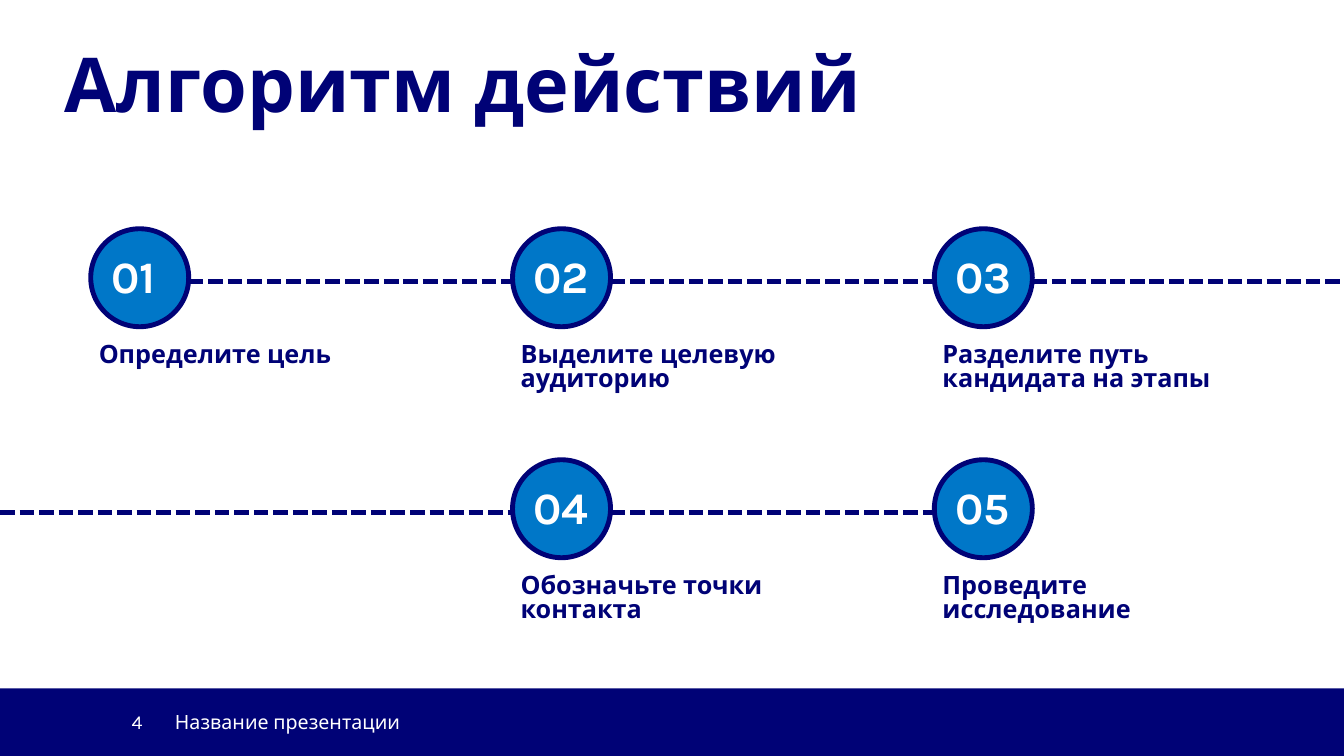
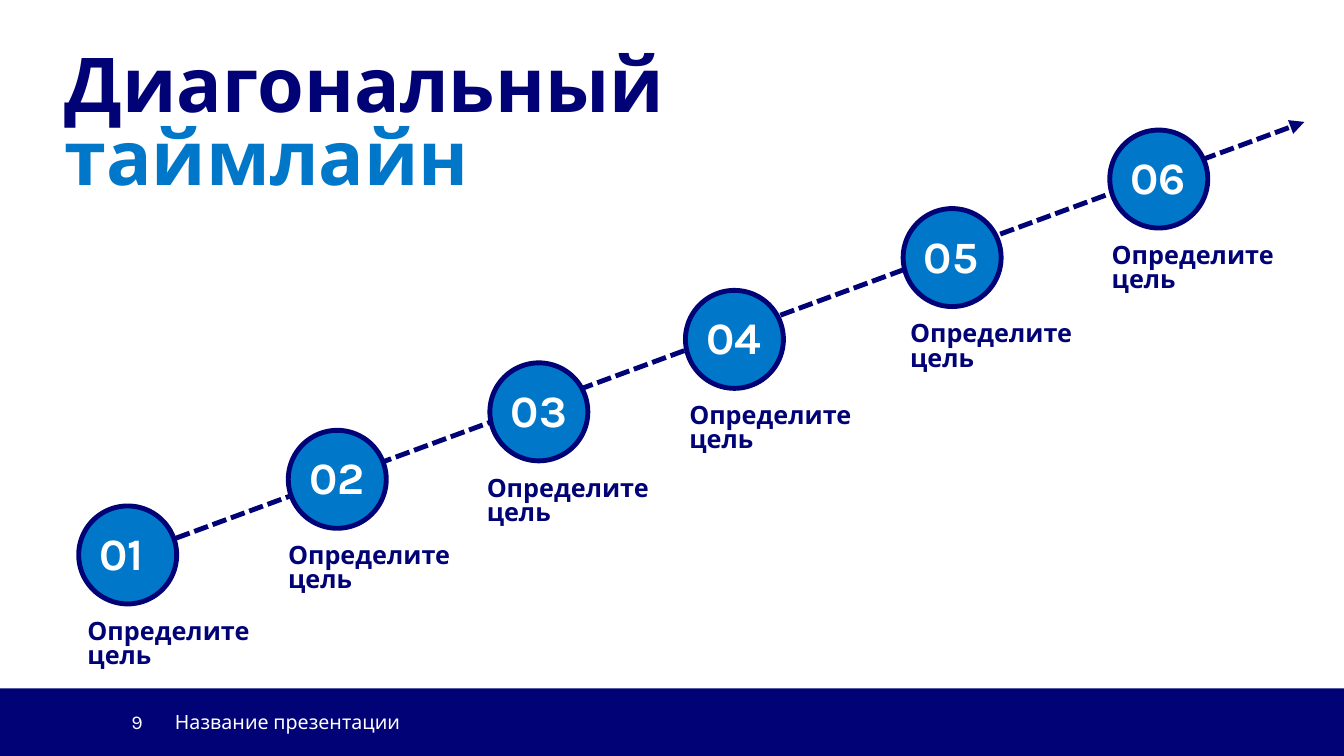
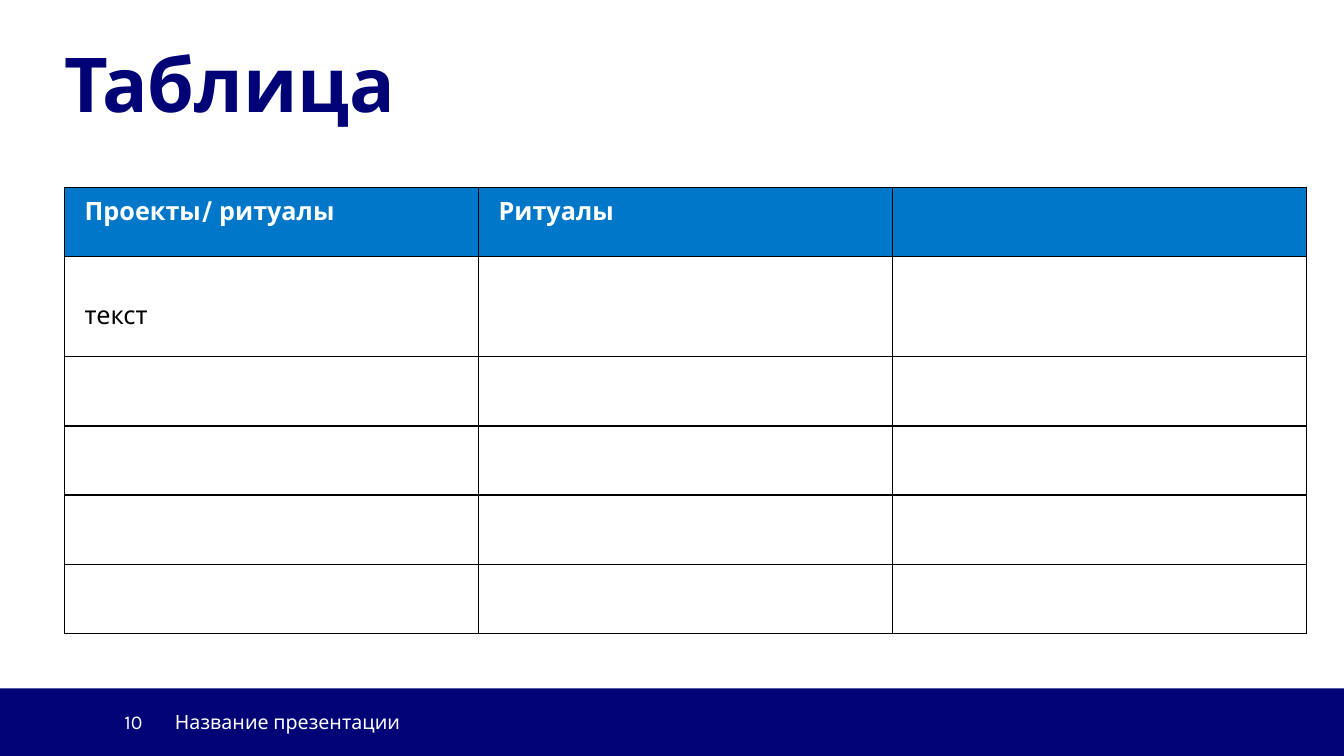
import pptx
import pptx.chart.data
import pptx.dml.color
import pptx.enum.dml
import pptx.enum.shapes
import pptx.enum.text
import pptx.oxml
import pptx.oxml.ns
import pptx.util

Pt = pptx.util.Pt
RGBColor = pptx.dml.color.RGBColor
ALIGN = pptx.enum.text.PP_ALIGN
ANCHOR = pptx.enum.text.MSO_ANCHOR
SHAPE = pptx.enum.shapes.MSO_SHAPE

NAVY = RGBColor(0x00, 0x02, 0x76)
BLUE = RGBColor(0x00, 0x77, 0xC8)
WHITE = RGBColor(0xFF, 0xFF, 0xFF)
BLACK = RGBColor(0x00, 0x00, 0x00)
FONT = "Karla"

PAGE_WIDTH, PAGE_HEIGHT = 960, 540
BAND_TOP = 491.8
CIRCLE = 70
STROKE = 3.5
BLANK_LAYOUT = 6

COLUMN_LEFT, COLUMN_STEP = 64.8, 301.3
ROW_TOP, ROW_STEP = 163.4, 165
LINE_DROP = 37.4
STEP_LABEL_WIDTH = 235

DIAGONAL_STEPS = [
    (56.2, 361.4, 55.4),
    (205.9, 307.4, 198.7),
    (349.9, 259.2, 340.6),
    (489.6, 207.4, 485.3),
    (645.1, 149, 643),
    (792.7, 92.9, 787),
]


def add_span(para, text, size, color, bold=False):
    span = para.add_run()
    span.text = text
    span.font.name = FONT
    span.font.size = Pt(size)
    span.font.bold = bold
    span.font.color.rgb = color


def add_text(page, left, top, width, height, lines, size, bold=True,
             spacing=0.8, align=ALIGN.LEFT, anchor=ANCHOR.TOP):
    box = page.shapes.add_textbox(Pt(left), Pt(top), Pt(width), Pt(height))
    frame = box.text_frame
    frame.word_wrap = True
    frame.vertical_anchor = anchor
    for index, (text, color) in enumerate(lines):
        para = frame.add_paragraph() if index else frame.paragraphs[0]
        para.alignment = align
        para.line_spacing = spacing
        add_span(para, text, size, color, bold)


def add_filled(page, preset, left, top, width, height, color):
    shape = page.shapes.add_shape(preset, Pt(left), Pt(top), Pt(width), Pt(height))
    shape.shadow.inherit = False
    shape.fill.solid()
    shape.fill.fore_color.rgb = color
    shape.line.fill.background()
    return shape


def add_dotted_line(page, start, end, arrow=False):
    line = page.shapes.add_connector(
        pptx.enum.shapes.MSO_CONNECTOR.STRAIGHT,
        Pt(start[0]), Pt(start[1]), Pt(end[0]), Pt(end[1]))
    line.line.color.rgb = NAVY
    line.line.width = Pt(STROKE)
    line.line.dash_style = pptx.enum.dml.MSO_LINE.SQUARE_DOT
    if arrow:
        tail = pptx.oxml.ns.qn("a:tailEnd")
        line.line._get_or_add_ln().append(
            line._element.makeelement(tail, {"type": "triangle"}))
    effects = pptx.oxml.ns.qn("a:effectLst")
    line._element.spPr.append(line._element.makeelement(effects, {}))


def add_step(page, number, left, top, label, label_left, label_width):
    circle = add_filled(page, SHAPE.OVAL, left, top, CIRCLE, CIRCLE, BLUE)
    circle.line.color.rgb = NAVY
    circle.line.width = Pt(STROKE)
    add_text(page, left + 7.8, top + 18, 63.4, 38, [(f"{number:02}", WHITE)], 32)
    add_text(page, label_left, top + 78.6, label_width, 42, [(label, NAVY)], 18)


def add_page(deck, number, title_lines):
    page = deck.slides.add_slide(deck.slide_layouts[BLANK_LAYOUT])
    add_filled(page, SHAPE.RECTANGLE, 0, BAND_TOP, PAGE_WIDTH,
               PAGE_HEIGHT - BAND_TOP, NAVY)
    for text, left, width in ((str(number), 39.6, 69.4),
                              ("Название презентации", 110, 183)):
        add_text(page, left, 501.1, width, 28.8, [(text, WHITE)], 14, bold=False,
                 spacing=1, align=ALIGN.RIGHT, anchor=ANCHOR.MIDDLE)
    add_text(page, 38.9, 35.3, 800, 56 * len(title_lines), title_lines, 54)
    return page


def add_cell_borders(cell, color):
    properties = cell._tc.get_or_add_tcPr()
    for side in ("lnL", "lnR", "lnT", "lnB"):
        properties.append(pptx.oxml.parse_xml(
            f'<a:{side} xmlns:a="http://schemas.openxmlformats.org/drawingml/2006/main"'
            f' w="{Pt(1)}"><a:solidFill><a:srgbClr val="{color}"/></a:solidFill></a:{side}>'))


def add_grid(page, left, top, column_width, row_heights, rows):
    columns = len(rows[0])
    table = page.shapes.add_table(
        len(rows), columns, Pt(left), Pt(top),
        Pt(column_width * columns), Pt(sum(row_heights))).table
    table.horz_banding = False
    for column in table.columns:
        column.width = Pt(column_width)
    for row_index, texts in enumerate(rows):
        header = row_index == 0
        table.rows[row_index].height = Pt(row_heights[row_index])
        for column_index, text in enumerate(texts):
            cell = table.cell(row_index, column_index)
            add_cell_borders(cell, BLACK)
            if header:
                cell.fill.solid()
                cell.fill.fore_color.rgb = BLUE
            else:
                cell.fill.background()
            if text:
                cell.margin_left = cell.margin_right = Pt(14.4)
                cell.margin_top = Pt(7.2 if header else 31.7)
                cell.margin_bottom = Pt(7.2)
                add_span(cell.text_frame.paragraphs[0], text, 18,
                         WHITE if header else BLACK, header)


def build_algorithm(deck):
    page = add_page(deck, 4, [("Алгоритм действий", NAVY)])
    steps = [
        (0, 0, "Определите цель"),
        (1, 0, "Выделите целевую аудиторию"),
        (2, 0, "Разделите путь кандидата на этапы"),
        (1, 1, "Обозначьте точки контакта"),
        (2, 1, "Проведите исследование"),
    ]
    lefts = [COLUMN_LEFT + COLUMN_STEP * column for column in range(3)]
    tops = [ROW_TOP + ROW_STEP * row for row in range(2)]
    spans = [
        (0, lefts[0] + CIRCLE, lefts[1]),
        (0, lefts[1] + CIRCLE, lefts[2]),
        (0, lefts[2] + CIRCLE, PAGE_WIDTH),
        (1, 0, lefts[1]),
        (1, lefts[1] + CIRCLE, lefts[2]),
    ]
    for row, start, end in spans:
        height = tops[row] + LINE_DROP
        add_dotted_line(page, (start, height), (end, height))
    for number, (column, row, label) in enumerate(steps, 1):
        left = lefts[column]
        add_step(page, number, left, tops[row], label, left - 1.3, STEP_LABEL_WIDTH)


def build_diagonal(deck):
    page = add_page(deck, 9, [("Диагональный", NAVY), ("таймлайн", BLUE)])
    add_dotted_line(page, (86.4, 398.9), (931.7, 87.1), arrow=True)
    for number, (left, top, label_left) in enumerate(DIAGONAL_STEPS, 1):
        add_step(page, number, left, top, "Определите цель", label_left, 144.7)


def build_table(deck):
    page = add_page(deck, 10, [("Таблица", NAVY)])
    rows = [["Проекты/ ритуалы", "Ритуалы", ""], ["текст", "", ""]]
    rows += [[""] * 3 for _ in range(4)]
    add_grid(page, 46.1, 133.9, 295.7, [49.4, 71.6] + [49.4] * 4, rows)


def main():
    deck = pptx.Presentation()
    deck.slide_width, deck.slide_height = Pt(PAGE_WIDTH), Pt(PAGE_HEIGHT)
    build_algorithm(deck)
    build_diagonal(deck)
    build_table(deck)
    deck.save("out.pptx")


if __name__ == "__main__":
    main()
